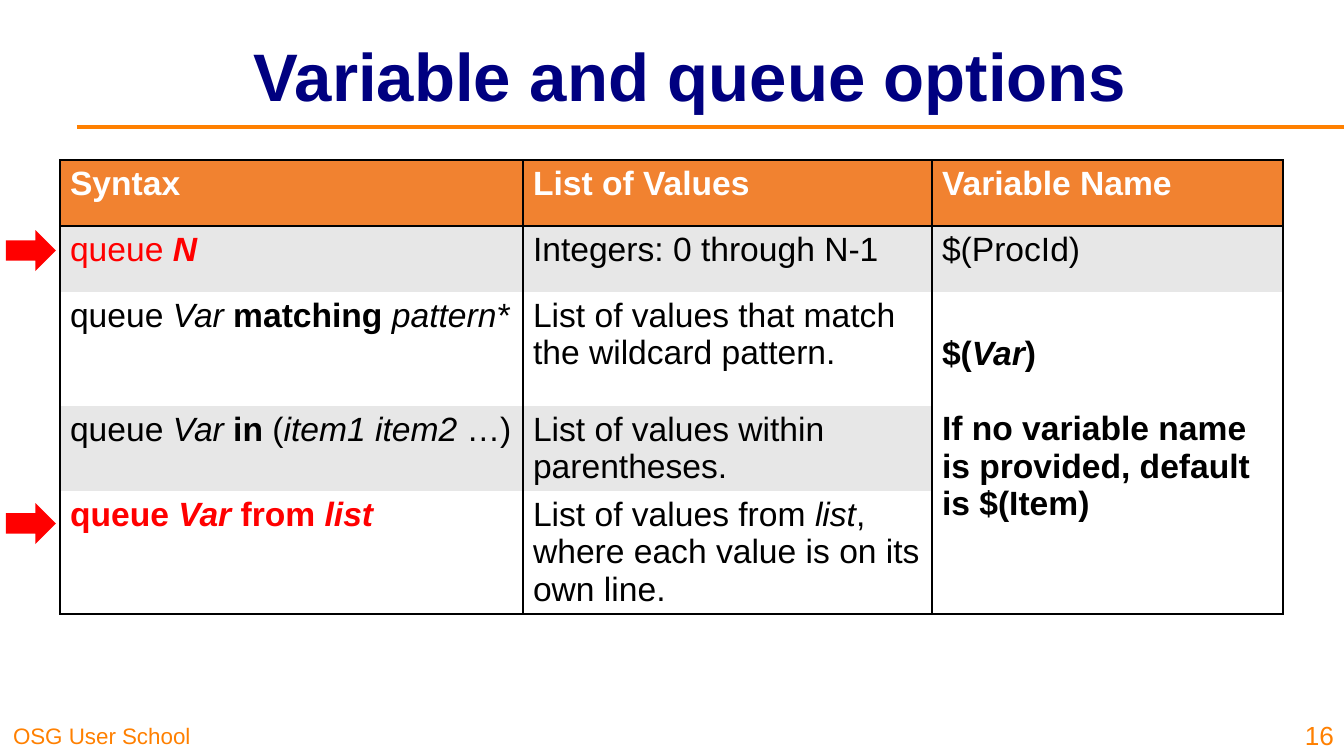
"""Build the slide on variable and queue options."""
from dataclasses import dataclass

from lxml.etree import SubElement
from pptx import Presentation
from pptx.dml.color import RGBColor
from pptx.enum.shapes import MSO_CONNECTOR, MSO_SHAPE
from pptx.enum.text import MSO_ANCHOR, PP_ALIGN
from pptx.oxml import parse_xml
from pptx.oxml.ns import nsdecls, qn
from pptx.util import Pt

TITLE = "Variable and queue options"
FOOTER = "OSG User School"
PAGE = "16"
HEADER = ["Syntax", "List of Values", "Variable Name"]
SYNTAX = [
    [("queue ", ""), ("N", "bi")],
    [("queue ", ""), ("Var ", "i"), ("matching ", "b"), ("pattern*", "i")],
    [("queue ", ""), ("Var ", "i"), ("in", "b"), (" (", ""),
     ("item1 item2", "i"), (" …)", "")],
    [("queue ", "b"), ("Var ", "bi"), ("from ", "b"), ("list", "bi")],
]
VALUES = [
    [("Integers: 0 through N-1", "")],
    [("List of values that match the wildcard pattern.", "")],
    [("List of values within parentheses.", "")],
    [("List of values from ", ""), ("list", "i"),
     (", where each value is on its own line.", "")],
]
PROC_NAME = [("$(ProcId)", "")]
VAR_NAME = [
    [("$(", "b"), ("Var", "bi"), (")", "b")],
    [("If no variable name is provided, default is $(Item)", "b")],
]
MARKED_ROWS = {1: 230, 4: 503}
COLS = [463, 409, 351]
ROWS = [66, 66, 114, 85, 123]
TABLE_LEFT, TABLE_TOP = 60, 160
BLANK_LINE = 38


@dataclass(frozen=True)
class Theme:
    """Colours, font and type sizes."""
    font: str = "Arial"
    navy: str = "000080"
    orange: str = "FF8000"
    header: str = "F18230"
    band: str = "E7E7E7"
    white: str = "FFFFFF"
    black: str = "000000"
    red: str = "FF0000"
    title: float = 48
    body: float = 24
    footer: float = 16
    page: float = 18.7


T = Theme()


def px(n):
    """Turn px into EMU."""
    return round(n * 914400 / 100.8)


def box(*sides):
    """Turn left, top, width and height into EMU."""
    return [px(n) for n in sides]


def write(p, runs, size, color, bold=None):
    """Fill a paragraph with styled runs."""
    p.font.name, p.font.size, p.font.bold = T.font, Pt(size), bold
    p.font.color.rgb = RGBColor.from_string(color)
    for text, style in runs:
        r = p.add_run()
        r.text = text
        if "b" in style:
            r.font.bold = True
        if "i" in style:
            r.font.italic = True


def add_label(s, sides, text, size, align, inset):
    """Add a bottom-anchored footer label."""
    tf = s.shapes.add_textbox(*box(*sides)).text_frame
    tf.word_wrap = True
    tf.vertical_anchor = MSO_ANCHOR.BOTTOM
    tf.margin_left = tf.margin_right = px(inset)
    tf.margin_top = tf.margin_bottom = px(inset / 2)
    tf.paragraphs[0].alignment = align
    write(tf.paragraphs[0], [(text, "")], size, T.orange)


def set_borders(cell, **widths):
    """Draw the given sides in black and clear the others."""
    tcPr = cell._tc.get_or_add_tcPr()
    for i, side in enumerate("LRTB"):
        width = widths.get(side, 0)
        ln = parse_xml(f'<a:ln{side} {nsdecls("a")} w="{Pt(width)}"/>')
        if width:
            fill = SubElement(ln, qn("a:solidFill"))
            SubElement(fill, qn("a:srgbClr")).set("val", T.black)
        else:
            SubElement(ln, qn("a:noFill"))
        tcPr.insert(i, ln)


def add_options_table(s):
    """Add the table of queue options."""
    last = len(ROWS) - 1
    sides = box(TABLE_LEFT, TABLE_TOP, sum(COLS), sum(ROWS))
    table = s.shapes.add_table(len(ROWS), len(COLS), *sides).table
    for col, width in zip(table.columns, COLS):
        col.width = px(width)
    for row, height in zip(table.rows, ROWS):
        row.height = px(height)
    table.cell(2, 2).merge(table.cell(last, 2))

    names = [[PROC_NAME], VAR_NAME, [], []]
    body = [[[a], [b], c] for a, b, c in zip(SYNTAX, VALUES, names)]
    grid = [[[[(h, "b")]] for h in HEADER]] + body
    for i, row in enumerate(grid):
        for j, paragraphs in enumerate(row):
            cell = table.cell(i, j)
            banded = i % 2 and not cell.is_spanned
            fill = T.header if i == 0 else T.band if banded else T.white
            cell.fill.solid()
            cell.fill.fore_color.rgb = RGBColor.from_string(fill)
            edges = {"T": 1, "B": 2} if i == 0 else {"T": 2} if i == 1 else {}
            if i == last or cell.is_merge_origin:
                edges["B"] = 1
            set_borders(cell, L=1, R=1, **edges)
            color = T.white if i == 0 else T.black
            if j == 0 and i in MARKED_ROWS:
                color = T.red
            tf = cell.text_frame
            for k, runs in enumerate(paragraphs):
                p = tf.add_paragraph() if k else tf.paragraphs[0]
                if k:
                    p.space_before = px(BLANK_LINE)
                write(p, runs, T.body, color)
    table.cell(2, 2).margin_top = px(5 + BLANK_LINE)


def main():
    """Build and save the slide."""
    prs = Presentation()
    prs.slide_width, prs.slide_height = px(1344), px(756)
    s = prs.slides.add_slide(prs.slide_layouts[5])

    title = s.shapes.title
    title.left, title.top, title.width, title.height = box(180, 12, 1021, 126)
    title.text_frame.vertical_anchor = MSO_ANCHOR.MIDDLE
    p = title.text_frame.paragraphs[0]
    p.alignment = PP_ALIGN.CENTER
    write(p, [(TITLE, "")], T.title, T.navy, True)

    rule = s.shapes.add_connector(MSO_CONNECTOR.STRAIGHT, *box(77, 127, 1344, 127))
    rule.line.color.rgb = RGBColor.from_string(T.orange)
    rule.line.width = Pt(3)
    SubElement(rule._element.spPr, qn("a:effectLst"))

    add_options_table(s)
    for top in MARKED_ROWS.values():
        sp = s.shapes.add_shape(MSO_SHAPE.RIGHT_ARROW, *box(6, top, 50, 41))
        sp.shadow.inherit = False
        sp.fill.solid()
        sp.fill.fore_color.rgb = RGBColor.from_string(T.red)
        sp.line.fill.background()

    add_label(s, (0, 714, 333, 42), FOOTER, T.footer, PP_ALIGN.LEFT, 13)
    add_label(s, (1282, 706, 62, 50), PAGE, T.page, PP_ALIGN.RIGHT, 10)
    prs.save("out.pptx")


if __name__ == "__main__":
    main()
